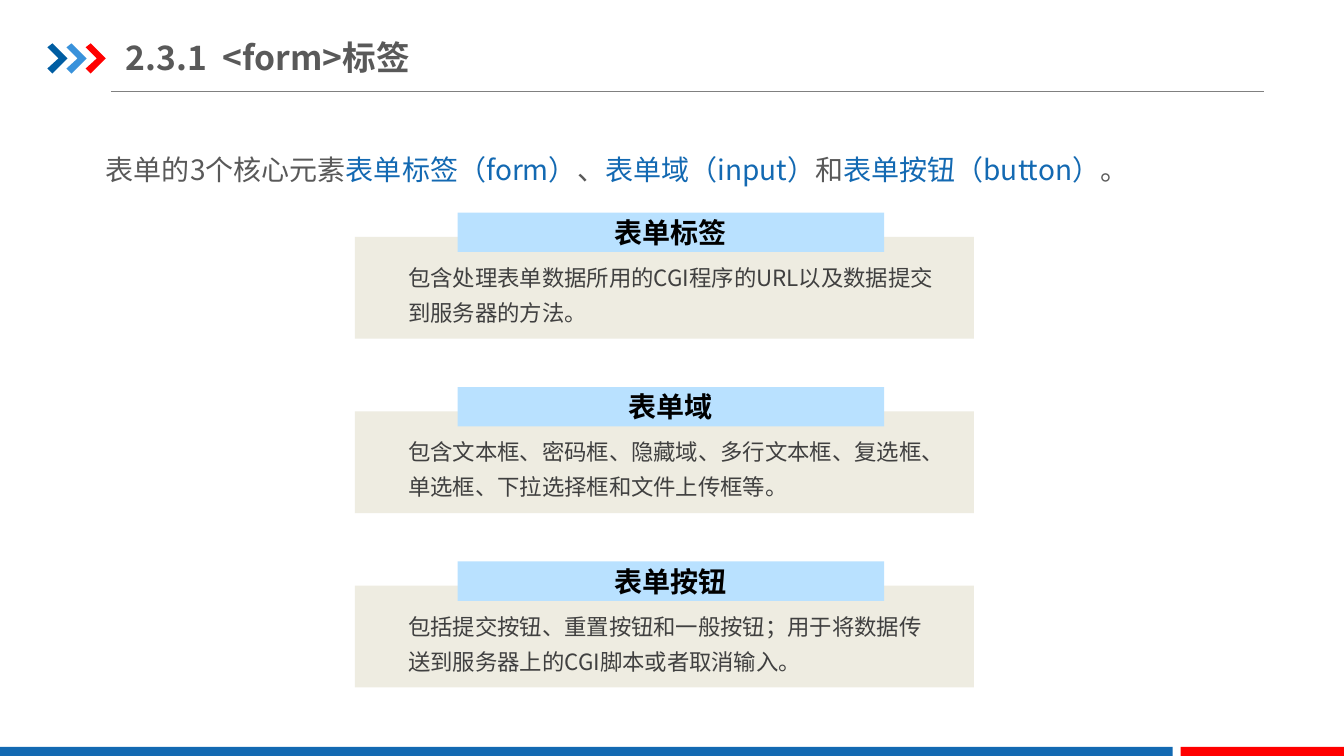
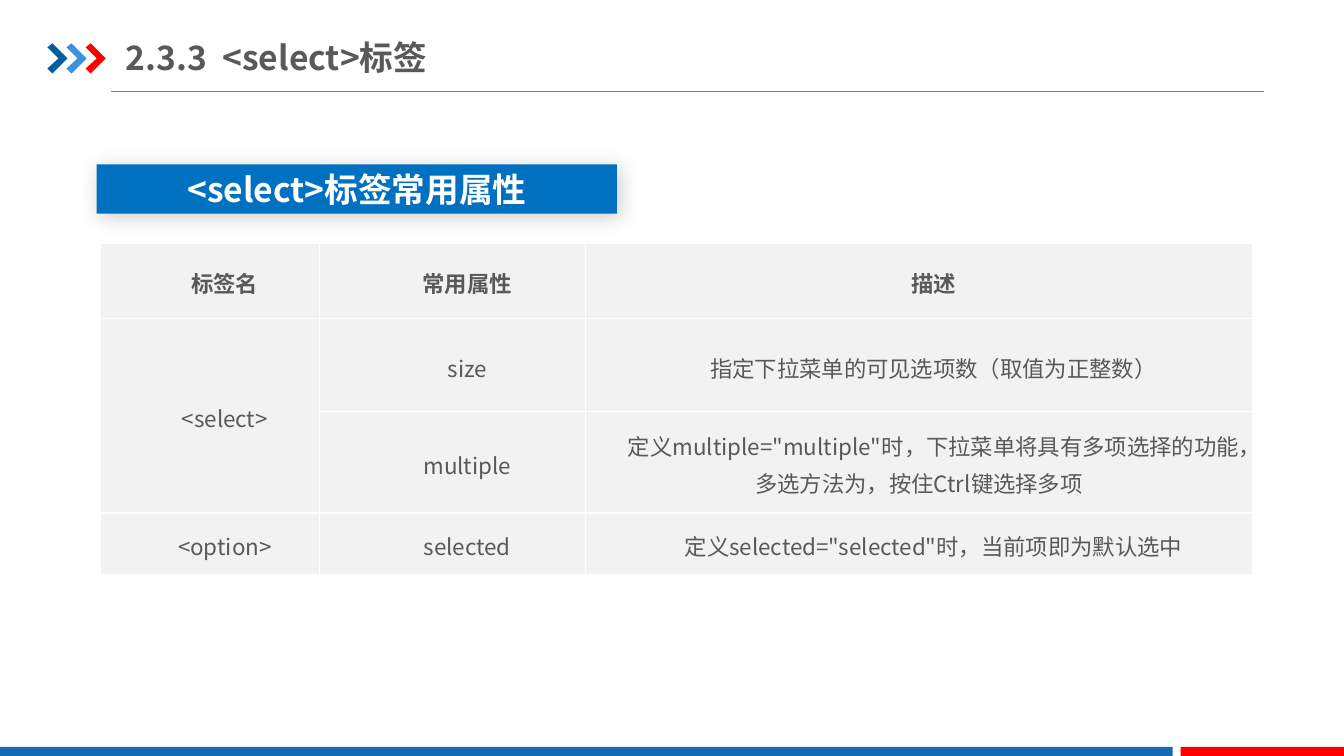
"""Build two slides about HTML form tags."""
import dataclasses

import lxml.etree
import pptx
import pptx.dml.color
import pptx.enum.shapes
import pptx.enum.text
import pptx.oxml
import pptx.oxml.ns
import pptx.util

Inches = pptx.util.Inches
Pt = pptx.util.Pt
ALIGN = pptx.enum.text.PP_ALIGN
ANCHOR = pptx.enum.text.MSO_ANCHOR
qn = pptx.oxml.ns.qn


@dataclasses.dataclass(frozen=True)
class Theme:
    """Colours, font and type sizes of the deck."""
    font: str = "Noto Sans CJK SC"
    title_size: int = 24
    lead_size: int = 20
    body_size: int = 16
    text: str = "595959"
    dark: str = "404040"
    black: str = "000000"
    white: str = "FFFFFF"
    blue: str = "1369B2"
    red: str = "FF0000"
    rule: str = "808080"
    chevrons: tuple = ("005DA2", "3992DB", "FF0000")
    card: str = "EEECE1"
    card_head: str = "B9E1FF"
    banner: str = "0070C0"
    cell: str = "F2F2F2"


THEME = Theme()


def rgb(value):
    """Return a colour from its hex digits."""
    return pptx.dml.color.RGBColor.from_string(value)


def write(tf, text, size=THEME.body_size, color=THEME.text, bold=False,
          align=ALIGN.LEFT, spacing=1.0, first_indent=0):
    """Write a string, or (string, colour) parts, as one paragraph."""
    p = tf.paragraphs[0]
    p.alignment = align
    p.line_spacing = spacing
    if first_indent:
        pPr = p._p.get_or_add_pPr()
        pPr.set("marL", "0")
        pPr.set("indent", str(Inches(first_indent)))
    parts = [(text, color)] if isinstance(text, str) else text
    for part, part_color in parts:
        r = p.add_run()
        r.text = part
        r.font.size = Pt(size)
        r.font.bold = bold
        r.font.color.rgb = rgb(part_color)
        r.font.name = THEME.font
        latin = r._r.rPr.find(qn("a:latin"))
        ea = lxml.etree.Element(qn("a:ea"), typeface=THEME.font)
        latin.addnext(ea)


def set_frame(tf, anchor, inset_x, inset_y):
    """Set wrapping, anchor and insets of a text frame."""
    tf.word_wrap = True
    tf.vertical_anchor = anchor
    tf.margin_left = tf.margin_right = Inches(inset_x)
    tf.margin_top = tf.margin_bottom = Inches(inset_y)


def add_text(s, box, text, anchor=ANCHOR.TOP, inset=(0.1, 0.05), **fmt):
    """Add a wrapped text box."""
    sp = s.shapes.add_textbox(*map(Inches, box))
    set_frame(sp.text_frame, anchor, *inset)
    write(sp.text_frame, text, **fmt)


def paint(sp, fill):
    """Give a shape a flat fill without outline or shadow."""
    sp.shadow.inherit = False
    sp.fill.solid()
    sp.fill.fore_color.rgb = rgb(fill)
    sp.line.fill.background()


def add_bar(s, box, fill, text=None, **fmt):
    """Add a flat rectangle, with centred text if given."""
    sp = s.shapes.add_shape(pptx.enum.shapes.MSO_SHAPE.RECTANGLE, *map(Inches, box))
    paint(sp, fill)
    if text:
        set_frame(sp.text_frame, ANCHOR.MIDDLE, 0.1, 0.05)
        write(sp.text_frame, text, bold=True, align=ALIGN.CENTER, **fmt)
    return sp


def add_soft_shadow(sp):
    """Add a soft shadow to the lower right of a shape."""
    effects = sp._element.spPr.find(qn("a:effectLst"))
    effects.append(pptx.oxml.parse_xml(
        f'<a:outerShdw {pptx.oxml.ns.nsdecls("a")} blurRad="{Pt(15)}" dist="{Pt(3)}" '
        f'dir="{45 * 60000}" algn="tl" rotWithShape="0"><a:srgbClr val="{THEME.black}">'
        '<a:alpha val="20000"/></a:srgbClr></a:outerShdw>'))


def add_chevron(s, left, top, fill):
    """Add one arrow-like chevron."""
    outline = [(0, 0.04), (0.05, 0), (0.2, 0.15), (0.05, 0.3), (0, 0.25), (0.11, 0.15)]
    points = [(Inches(left + x), Inches(top + y)) for x, y in outline]
    builder = s.shapes.build_freeform(*points[0])
    builder.add_line_segments(points[1:], close=True)
    paint(builder.convert_to_shape(), fill)


def add_rule(s, left, right, y):
    """Add a thin horizontal line."""
    line = s.shapes.add_connector(pptx.enum.shapes.MSO_CONNECTOR.STRAIGHT,
                                  Inches(left), Inches(y), Inches(right), Inches(y))
    line.line.color.rgb = rgb(THEME.rule)
    line.line.width = Pt(0.75)
    lxml.etree.SubElement(line._element.spPr, qn("a:effectLst"))


def add_slide(prs, title):
    """Add a slide with the shared title, rule and footer bands."""
    s = prs.slides.add_slide(prs.slide_layouts[6])
    add_rule(s, 1.1, 12.54, 0.91)
    for i, color in enumerate(THEME.chevrons):
        add_chevron(s, 0.47 + 0.19 * i, 0.43, color)
    add_bar(s, (0, 7.41, 11.63, 0.09), THEME.blue)
    add_bar(s, (11.71, 7.41, 1.62, 0.09), THEME.red)
    add_text(s, (1.25, 0.29, 4.26, 0.55), title, ANCHOR.MIDDLE, (0, 0.07),
             size=THEME.title_size, bold=True)
    return s


def add_card(s, top, heading, body):
    """Add a card with an overlapping heading bar."""
    add_bar(s, (3.52, top + 0.24, 6.14, 1.01), THEME.card)
    add_bar(s, (4.54, top, 4.23, 0.39), THEME.card_head, heading,
            size=THEME.lead_size, color=THEME.black)
    add_text(s, (3.95, top + 0.38, 5.46, 0.77), body, color=THEME.dark, spacing=1.3)


def add_borders(cell):
    """Give a cell thin white borders on all sides."""
    tcPr = cell._tc.get_or_add_tcPr()
    for i, side in enumerate(("lnL", "lnR", "lnT", "lnB")):
        tcPr.insert(i, pptx.oxml.parse_xml(
            f'<a:{side} {pptx.oxml.ns.nsdecls("a")} w="{Pt(1)}"><a:solidFill>'
            f'<a:srgbClr val="{THEME.white}"/></a:solidFill></a:{side}>'))


def add_grid(s, left, top, widths, heights, rows):
    """Add a table whose first row is bold."""
    table = s.shapes.add_table(len(rows), len(widths), Inches(left), Inches(top),
                               Inches(sum(widths)), Inches(sum(heights))).table
    for column, width in zip(table.columns, widths):
        column.width = Inches(width)
    for i, (height, texts) in enumerate(zip(heights, rows)):
        table.rows[i].height = Inches(height)
        for j, text in enumerate(texts):
            cell = table.cell(i, j)
            cell.fill.solid()
            cell.fill.fore_color.rgb = rgb(THEME.cell)
            add_borders(cell)
            cell.vertical_anchor = ANCHOR.MIDDLE
            cell.margin_left = cell.margin_right = Inches(0.07)
            cell.margin_top = cell.margin_bottom = 0
            if text:
                write(cell.text_frame, text, bold=i == 0, align=ALIGN.CENTER,
                      spacing=1.15, first_indent=0.29)
    return table


def build_form_slide(prs):
    """Build the slide on the form tag."""
    s = add_slide(prs, "2.3.1  <form>标签")
    lead = [("表单的3个核心元素", THEME.text), ("表单标签（form）", THEME.blue),
            ("、", THEME.text), ("表单域（input）", THEME.blue),
            ("和", THEME.text), ("表单按钮（button）", THEME.blue), ("。", THEME.text)]
    add_text(s, (0.92, 1.28, 11.42, 0.58), lead, inset=(0.13, 0.07),
             size=THEME.lead_size, align=ALIGN.JUSTIFY, spacing=1.5)
    cards = [
        ("表单标签", "包含处理表单数据所用的CGI程序的URL以及数据提交到服务器的方法。"),
        ("表单域", "包含文本框、密码框、隐藏域、多行文本框、复选框、单选框、下拉选择框和文件上传框等。"),
        ("表单按钮", "包括提交按钮、重置按钮和一般按钮；用于将数据传送到服务器上的CGI脚本或者取消输入。"),
    ]
    for i, (heading, body) in enumerate(cards):
        add_card(s, 2.11 + 1.73 * i, heading, body)


def build_select_slide(prs):
    """Build the slide on the select tag."""
    s = add_slide(prs, "2.3.3  <select>标签")
    rows = [
        ("标签名", "常用属性", "描述"),
        ("<select>", "size", "指定下拉菜单的可见选项数（取值为正整数）"),
        ("", "multiple", '定义multiple="multiple"时，下拉菜单将具有多项选择的功能，多选方法为，按住Ctrl键选择多项'),
        ("<option>", "selected", '定义selected="selected"时，当前项即为默认选中'),
    ]
    table = add_grid(s, 1, 2.41, (2.17, 2.64, 6.61), (0.75, 0.92, 1.01, 0.61), rows)
    table.cell(1, 0).merge(table.cell(2, 0))
    banner = add_bar(s, (0.96, 1.63, 5.16, 0.49), THEME.banner, "<select>标签常用属性",
                     size=THEME.title_size, color=THEME.white)
    add_soft_shadow(banner)


def main():
    """Build and save the deck."""
    prs = pptx.Presentation()
    prs.slide_width, prs.slide_height = Inches(13.33), Inches(7.5)
    build_form_slide(prs)
    build_select_slide(prs)
    prs.save("out.pptx")


if __name__ == "__main__":
    main()
